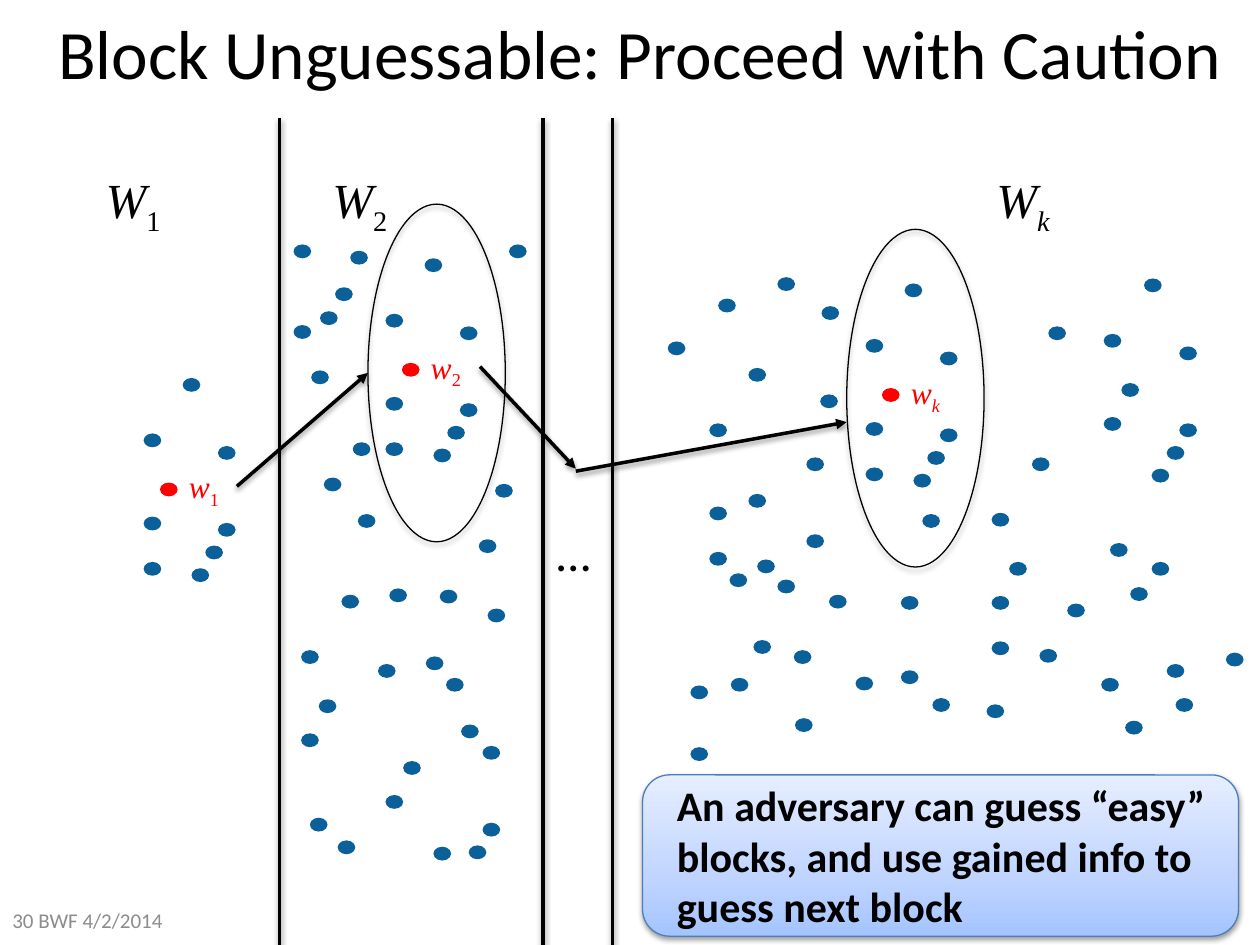
from copy import deepcopy
from lxml.etree import SubElement
from pptx import Presentation
from pptx.dml.color import RGBColor
from pptx.enum.shapes import MSO_CONNECTOR, MSO_SHAPE
from pptx.enum.text import MSO_ANCHOR, MSO_AUTO_SIZE, PP_ALIGN
from pptx.oxml.ns import qn
from pptx.util import Inches, Pt

HUES = {"ink": "000000", "dot": "0B609A", "hit": "FF0000", "grey": "8C8C8C",
        "edge": "4B7EBC", "low": "A4C4FF", "mid": "BFD4FF", "high": "E6EEFF"}
SANS, SERIF = "Calibri", "Times New Roman"

# Content
TITLE = "Block Unguessable: Proceed with Caution"
NOTE = "An adversary can guess “easy” blocks, and use gained info to guess next block"
FOOT = "30 BWF 4/2/2014"

# Blocks: subscript, left of the big label, guessed point, left and top of its oval
BLOCKS = [("1", 0.74, (1.27, 3.83), None),
          ("2", 2.54, (3.19, 2.88), (2.92, 1.62)),
          ("k", 7.81, (7.00, 3.08), (6.72, 1.82))]
# Neighbours of each guessed point, as offsets from it
NEAR = [(0.18, -0.83), (0.36, 0.5), (0.46, -0.29), (-0.13, 0.63),
        (0.46, 0.32), (-0.13, -0.39), (-0.13, 0.27), (0.25, 0.68)]

# Loose points of the second and the last block
SECOND = [
    (3.38, 5.21), (2.68, 6.67), (3.2, 6.04), (3.66, 5.75), (3.87, 4.83),
    (3.8, 4.28), (3.93, 3.84), (3.06, 6.31), (3.44, 6.72), (3.54, 5.38),
    (3.72, 6.71), (2.47, 2.94), (3.83, 5.92), (3.49, 4.68), (3.83, 6.53),
    (3.09, 4.67), (2.46, 6.49), (2.84, 4.08), (2.71, 4.72), (2.66, 2.28),
    (2.53, 5.55), (3, 5.27), (2.8, 3.51), (2.57, 3.79), (2.39, 5.16),
    (2.39, 5.82), (2.54, 2.47), (2.33, 1.94), (4.04, 1.94), (2.78, 1.99),
    (2.33, 2.58)]
LAST = [
    (9.08, 2.21), (9.26, 3.54), (8.9, 3.04), (9.36, 2.75), (9.26, 5.27),
    (9.36, 3.36), (8.76, 2.65), (8.76, 3.31), (9.14, 3.72), (5.94, 2.92),
    (8.32, 2.59), (6.3, 5.16), (9.14, 4.46), (6.58, 4.72), (5.63, 4.02),
    (6.31, 5.7), (8.19, 3.63), (9.73, 5.18), (8.01, 4.46), (8.93, 5.72),
    (7.87, 5.09), (8.47, 4.79), (7.87, 4.07), (7.87, 4.73), (8.25, 5.15),
    (5.7, 2.37), (7.15, 5.32), (6.51, 3.13), (6.52, 2.43), (7.83, 5.59),
    (7.15, 4.73), (9.33, 5.54), (7.4, 5.54), (6.17, 4.6), (8.74, 5.38),
    (7.32, 4.08), (6.79, 5.37), (8.97, 4.66), (5.63, 4.38), (5.8, 5.38),
    (5.63, 3.36), (5.48, 5.93), (6.01, 4.44), (6.17, 2.2), (8.81, 4.31),
    (5.94, 3.92), (6.4, 3.63), (5.79, 4.55), (6.4, 4.24), (5.3, 2.71),
    (5.48, 5.44), (5.98, 5.08)]

WALLS = [(2.22, 7.63), (4.31, 7.68), (4.86, 7.68)]  # x and bottom
ARROWS = [((1.88, 3.86), (2.92, 2.96)), ((3.81, 2.91), (4.57, 3.72)),
          ((4.57, 3.74), (6.72, 3.35))]

deck = Presentation()
deck.slide_width, deck.slide_height = Inches(10), Inches(7.5)
slide = deck.slides.add_slide(deck.slide_layouts[5])
shapes = slide.shapes


def hue(name):
    return RGBColor.from_string(HUES[name])


def box(*nums):
    return [Inches(n) for n in nums]


def style(font, size, color, face=SANS):
    font.size, font.name = Pt(size), face
    font.color.rgb = hue(color)


def shade(props, alpha=38, dist=1.6):
    """Add a soft shadow straight below."""
    list_ = props.find(qn("a:effectLst"))
    if list_ is None:
        list_ = SubElement(props, qn("a:effectLst"))
    drop = SubElement(list_, qn("a:outerShdw"), blurRad=str(Pt(3.1)),
                      dist=str(Pt(dist)), dir="5400000", rotWithShape="0")
    tint = SubElement(drop, qn("a:srgbClr"), val=HUES["ink"])
    SubElement(tint, qn("a:alpha"), val=str(alpha * 1000))


def shape(kind, *place):
    item = shapes.add_shape(kind, *box(*place))
    item.shadow.inherit = False
    return item


def dot(x, y, color="dot"):
    item = shape(MSO_SHAPE.OVAL, x, y, 0.14, 0.11)
    item.fill.solid()
    item.fill.fore_color.rgb = hue(color)
    item.line.fill.background()


def text(words, place, size, color="ink", face=SANS, wrap=False):
    frame = shapes.add_textbox(*box(*place)).text_frame
    frame.word_wrap = wrap
    frame.auto_size = MSO_AUTO_SIZE.SHAPE_TO_FIT_TEXT
    para = frame.paragraphs[0]
    style(para.font, size, color, face)
    para.add_run().text = words
    return para


def symbol(letter, sub, place, size, color="ink", wrap=False):
    """Write an italic letter with a subscript; digits stay upright."""
    para = text(letter, place, size, color, SERIF, wrap)
    para.font.italic = True
    run = para.add_run()
    run.text = sub
    run.font.italic = not sub.isdigit()
    run.font._element.set("baseline", "-25000")


def line(start, end, head=False):
    item = shapes.add_connector(MSO_CONNECTOR.STRAIGHT, *box(*start, *end))
    item.line.width = Pt(2)
    item.line.color.rgb = hue("ink")
    if head:
        SubElement(item.line._get_or_add_ln(), qn("a:tailEnd"), type="triangle")
    shade(item._element.spPr)


# Title
title = shapes.title
title.left, title.top, title.width, title.height = box(0.16, -0.12, 9.84, 1.06)
title.text_frame.text = TITLE
title.text_frame.vertical_anchor = MSO_ANCHOR.MIDDLE
head = title.text_frame.paragraphs[0]
head.alignment = PP_ALIGN.CENTER
style(head.font, 39.6, "ink")

# Blocks with their guessed points
for sub, left, (x, y), oval in BLOCKS:
    symbol("W", sub, (left, 1.3, 0.8, 0.57), 28, wrap=True)
    if oval:
        ring = shape(MSO_SHAPE.OVAL, *oval, 1.09, 2.68)
        ring.fill.background()
        ring.line.color.rgb = hue("ink")
        ring.line.width = Pt(0.75)
        shade(ring._element.spPr, 35, 1.8)
    symbol("w", sub, (x + 0.13, y - 0.17, 0.49, 0.4), 18, "hit")
    for dx, dy in NEAR:
        dot(x + dx, y + dy)
    dot(x, y, "hit")
text("…", (4.32, 4.1, 0.47, 0.57), 28)

# Loose points
for x, y in SECOND + LAST:
    dot(x, y)

# Walls between blocks, and the path of guesses
for x, end in WALLS:
    line((x, 0.94), (x, end))
for start, end in ARROWS:
    line(start, end, head=True)

# Callout
note = shape(MSO_SHAPE.ROUNDED_RECTANGLE, 5.1, 6.15, 4.73, 1.28)
note.fill.gradient()
note.fill.gradient_angle = 90
stops = note._element.spPr.find(".//" + qn("a:gsLst"))
stops.insert(1, deepcopy(stops[0]))
for stop, (spot, name) in zip(note.fill.gradient_stops,
                              [(0, "low"), (0.35, "mid"), (1, "high")]):
    stop.position = spot
    stop.color.rgb = hue(name)
note.line.color.rgb = hue("edge")
note.line.width = Pt(0.75)
shade(note._element.spPr)
frame = note.text_frame
frame.word_wrap = True
frame.vertical_anchor = MSO_ANCHOR.MIDDLE
frame.margin_left = Inches(0.21)
frame.margin_right = frame.margin_top = frame.margin_bottom = Inches(0.05)
frame.text = NOTE
para = frame.paragraphs[0]
para.alignment = PP_ALIGN.LEFT
style(para.font, 24, "ink")
para.font.bold = True

# Footer
text(FOOT, (0, 7.1, 2.33, 0.4), 12, "grey", wrap=True)
foot = shapes[-1].text_frame
foot.auto_size = MSO_AUTO_SIZE.NONE
foot.vertical_anchor = MSO_ANCHOR.MIDDLE

deck.save("out.pptx")
